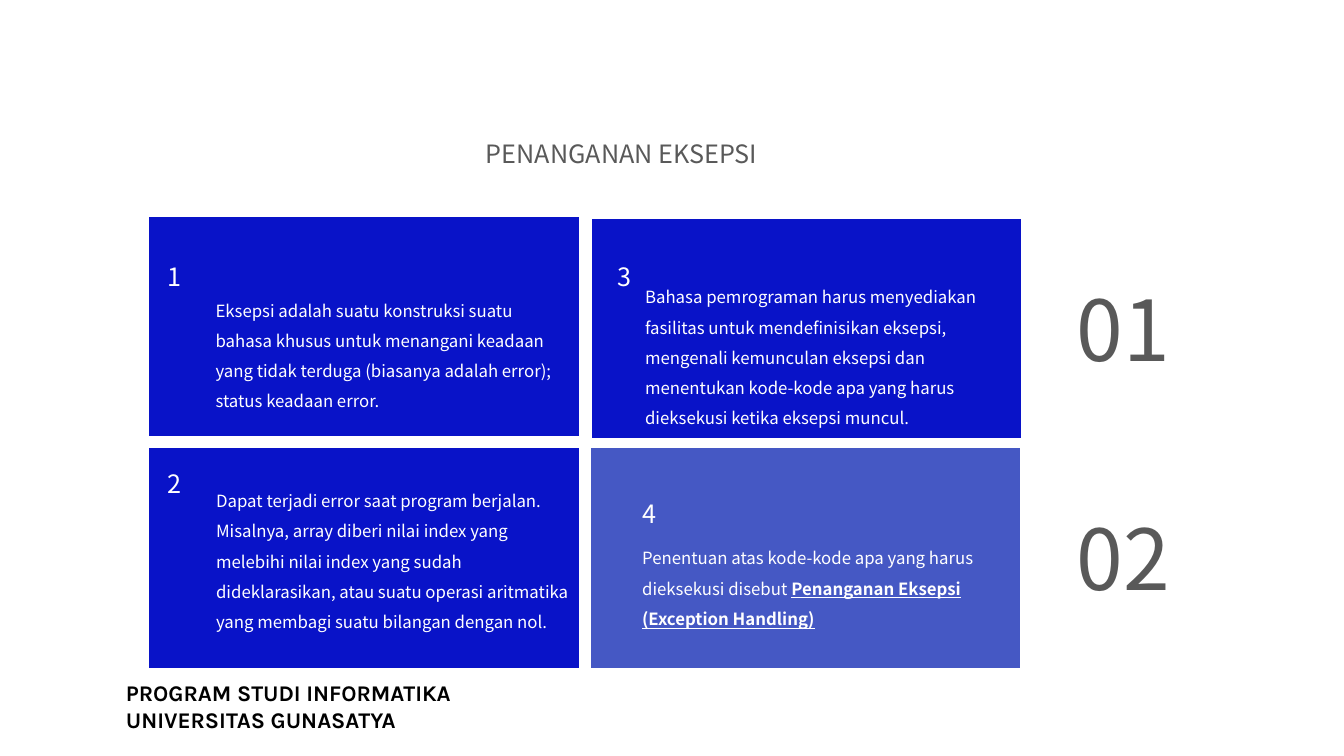
from dataclasses import dataclass

from pptx import Presentation, util as u
from pptx.dml import color as dml
from pptx.enum import shapes, text as t
from pptx.shapes.autoshape import Shape
from pptx.slide import Slide

WIDTH, HEIGHT = u.Inches(13.33), u.Inches(7.5)
COLORS = {
    "blue": "0913C8",
    "soft_blue": "4558C4",
    "grey": "595959",
    "white": "FFFFFF",
    "black": "000000",
}
SANS, BRAND = "Noto Sans CJK SC", "Karla"


@dataclass(frozen=True)
class Box:
    """Left, top, width and height in percent of the slide."""

    x: float
    y: float
    w: float
    h: float

    def emu(self) -> tuple[int, int, int, int]:
        return (
            round(WIDTH * self.x / 100),
            round(HEIGHT * self.y / 100),
            round(WIDTH * self.w / 100),
            round(HEIGHT * self.h / 100),
        )


@dataclass(frozen=True)
class Card:
    number: str
    panel: tuple[float, float]
    label: tuple[float, float]
    body: Box
    text: str
    strong: str = ""
    fill: str = "blue"


@dataclass(frozen=True)
class RowMark:
    label: str
    y: float


CARDS = [
    Card("1", (11.1, 28.67), (11.7, 33.87), Box(15.3, 37.73, 27.08, 17.07),
         "Eksepsi adalah suatu konstruksi suatu bahasa khusus untuk menangani "
         "keadaan yang tidak terduga (biasanya adalah error); status keadaan error."),
    Card("2", (11.1, 59.33), (11.7, 61.33), Box(15.34, 62.93, 28.06, 25.07),
         "Dapat terjadi error saat program berjalan. Misalnya, array diberi nilai "
         "index yang melebihi nilai index yang sudah dideklarasikan, atau suatu "
         "operasi aritmatika yang membagi suatu bilangan dengan nol."),
    Card("3", (44.04, 28.93), (45.24, 33.87), Box(47.26, 36, 27.08, 21.07),
         "Bahasa pemrograman harus menyediakan fasilitas untuk mendefinisikan "
         "eksepsi, mengenali kemunculan eksepsi dan menentukan kode-kode apa yang "
         "harus dieksekusi ketika eksepsi muncul."),
    Card("4", (43.96, 59.33), (47.04, 65.2), Box(47.04, 70.53, 27.08, 13.47),
         "Penentuan atas kode-kode apa yang harus dieksekusi disebut ",
         "Penanganan Eksepsi (Exception Handling)", "soft_blue"),
]
ROW_MARKS = [RowMark("01", 36), RowMark("02", 66.4)]


def rgb(name: str) -> dml.RGBColor:
    return dml.RGBColor.from_string(COLORS[name])


def write(sp: Shape, text: str, *, size: float, color: str, font: str = SANS,
          bold: bool = False, spacing: float = 1.0, strong: str = "") -> None:
    tf = sp.text_frame
    tf.word_wrap = True
    tf.auto_size = t.MSO_AUTO_SIZE.SHAPE_TO_FIT_TEXT
    tf.vertical_anchor = t.MSO_ANCHOR.TOP
    for i, line in enumerate(text.split("\n")):
        p = tf.add_paragraph() if i else tf.paragraphs[0]
        p.alignment = t.PP_ALIGN.LEFT
        p.line_spacing = spacing
        for part, marked in ((line, False), (strong, True)):
            if not part:
                continue
            r = p.add_run()
            r.text = part
            r.font.name = font
            r.font.size = u.Pt(size)
            r.font.color.rgb = rgb(color)
            r.font.bold = bold or marked
            r.font.underline = marked


def add_text_box(s: Slide, box: Box) -> Shape:
    return s.shapes.add_textbox(*box.emu())


def add_card(s: Slide, card: Card) -> None:
    panel = Box(*card.panel, 31.96, 29.07)
    sp = s.shapes.add_shape(shapes.MSO_SHAPE.FLOWCHART_PROCESS, *panel.emu())
    sp.shadow.inherit = False
    sp.fill.solid()
    sp.fill.fore_color.rgb = rgb(card.fill)
    sp.line.fill.background()
    write(add_text_box(s, Box(*card.label, 23.41, 5.33)), card.number,
          size=18, color="white")
    write(add_text_box(s, card.body), card.text, size=12, color="white",
          spacing=1.5, strong=card.strong)


def main() -> None:
    prs = Presentation()
    prs.slide_width, prs.slide_height = WIDTH, HEIGHT
    s = prs.slides.add_slide(prs.slide_layouts.get_by_name("Title Only"))

    title = s.shapes.title
    title.left, title.top, title.width, title.height = Box(
        35.41, 17.6, 29.78, 5.33).emu()
    write(title, "PENANGANAN EKSEPSI", size=18, color="grey")

    for card in CARDS:
        add_card(s, card)
    for mark in ROW_MARKS:
        write(add_text_box(s, Box(79.37, mark.y, 11.63, 14.8)), mark.label,
              size=60, color="grey")
    write(add_text_box(s, Box(8.63, 89.2, 49.21, 8.53)),
          "PROGRAM STUDI INFORMATIKA\nUNIVERSITAS GUNASATYA",
          size=16, color="black", font=BRAND, bold=True)

    prs.save("out.pptx")


if __name__ == "__main__":
    main()
